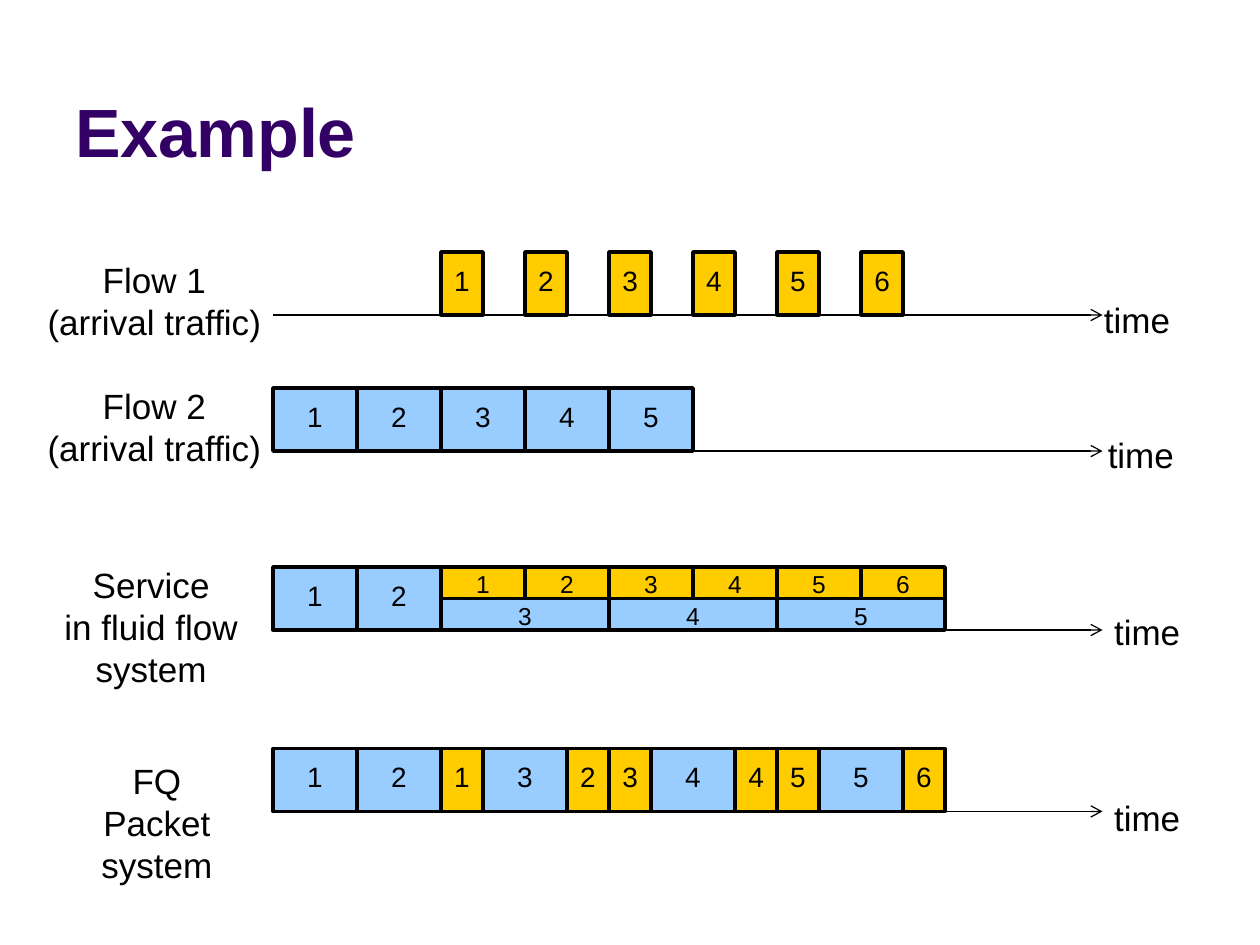
from lxml.etree import SubElement
from pptx import Presentation
from pptx.dml.color import RGBColor
from pptx.enum.shapes import MSO_CONNECTOR, MSO_SHAPE
from pptx.enum.text import MSO_ANCHOR, PP_ALIGN
from pptx.oxml.ns import qn
from pptx.util import Inches, Pt

BLACK, PURPLE = "000000", "330066"
GOLD, BLUE = "FFCC00", "99CCFF"
LEFT, END, SLOT, TALL = 13 / 6, 8.75, 1 / 3, 0.5


def run_of(color, first, last, start, step, width, row="full"):
    """List equally spaced packets: color, number, start slot, slots, row."""
    return [(color, n, start + i * step, width, row)
            for i, n in enumerate(range(first, last + 1))]


# Packets of the last lane in sending order
ORDER = [(BLUE, 1), (BLUE, 2), (GOLD, 1), (BLUE, 3), (GOLD, 2), (GOLD, 3),
         (BLUE, 4), (GOLD, 4), (GOLD, 5), (BLUE, 5), (GOLD, 6)]
SIZES = {GOLD: 1, BLUE: 2}


def queue(order):
    """List packets placed back to back."""
    packs, start = [], 0
    for color, num in order:
        packs.append((color, num, start, SIZES[color], "full"))
        start += SIZES[color]
    return packs


# Lane top, label, label box, place of "time", packets
LANES = [
    (2, "Flow 1\n(arrival traffic)", (0.27, 2, 1.91, 0.77), (8.66, 2.32),
     run_of(GOLD, 1, 6, 4, 2, 1)),
    (3.08, "Flow 2\n(arrival traffic)", (0.27, 3, 1.91, 0.77), (8.69, 3.39),
     run_of(BLUE, 1, 5, 0, 2, 2)),
    (4.5, "Service\nin fluid flow\nsystem", (0.4, 4.42, 1.6, 1.11),
     (8.74, 4.8),
     run_of(BLUE, 1, 2, 0, 2, 2) + run_of(BLUE, 3, 5, 4, 4, 4, "lower")
     + run_of(GOLD, 1, 6, 4, 2, 2, "upper")),
    (5.94, "FQ\vPacket\nsystem", (0.7, 5.98, 1.09, 1.11), (8.74, 6.27),
     queue(ORDER)),
]
# Row: offset from lane top, height, text size, top inset, bottom inset
ROWS = {"full": (0, TALL, 16, 0, 0.05),
        "upper": (0, TALL / 2, 14, 0.02, 0),
        "lower": (TALL / 2, TALL / 2, 14, 0.02, 0)}


def rgb(code):
    """Turn a hex string into a color."""
    return RGBColor.from_string(code)


def write(frame, text, size, color=BLACK, align=PP_ALIGN.CENTER, bold=False):
    """Set the text of a frame and format its runs."""
    frame.text = text
    for para in frame.paragraphs:
        para.alignment = align
        for run in para.runs:
            font = run.font
            font.name, font.size, font.bold = "Arial", Pt(size), bold
            font.color.rgb = rgb(color)


def add_text(slide, box, text, size, **style):
    """Add a text box."""
    frame = slide.shapes.add_textbox(*map(Inches, box)).text_frame
    frame.word_wrap = False
    write(frame, text, size, **style)
    return frame


def add_axis(slide, y):
    """Add a time arrow."""
    axis = slide.shapes.add_connector(
        MSO_CONNECTOR.STRAIGHT, Inches(LEFT), Inches(y), Inches(END), Inches(y))
    axis.line.color.rgb = rgb(BLACK)
    axis.line.width = Pt(0.75)
    SubElement(axis.line._get_or_add_ln(), qn("a:tailEnd"), type="arrow")
    SubElement(axis._element.spPr, qn("a:effectLst"))


def add_pack(slide, top, color, num, start, slots, row):
    """Add one numbered packet to a lane."""
    drop, high, size, above, below = ROWS[row]
    box = (LEFT + start * SLOT, top + drop, slots * SLOT, high)
    pack = slide.shapes.add_shape(MSO_SHAPE.RECTANGLE, *map(Inches, box))
    pack.shadow.inherit = False
    pack.fill.solid()
    pack.fill.fore_color.rgb = rgb(color)
    pack.line.color.rgb = rgb(BLACK)
    pack.line.width = Pt(2)
    frame = pack.text_frame
    frame.margin_left = frame.margin_right = 0
    frame.margin_top, frame.margin_bottom = Inches(above), Inches(below)
    frame.vertical_anchor = MSO_ANCHOR.MIDDLE
    frame.word_wrap = False
    write(frame, str(num), size)


def main():
    """Build the slide and save it."""
    deck = Presentation()
    deck.slide_width, deck.slide_height = Inches(10), Inches(7.5)
    slide = deck.slides.add_slide(deck.slide_layouts[6])
    title = add_text(slide, (0.5, 0.13, 9, 1.28), "Example", 39,
                     color=PURPLE, align=PP_ALIGN.LEFT, bold=True)
    title.word_wrap = True
    title.vertical_anchor = MSO_ANCHOR.BOTTOM
    for top, label, box, spot, packs in LANES:
        add_axis(slide, top + TALL)
        for pack in packs:
            add_pack(slide, top, *pack)
        add_text(slide, box, label, 20)
        add_text(slide, (*spot, 0.73, 0.43), "time", 20)
    deck.save("out.pptx")


main()
